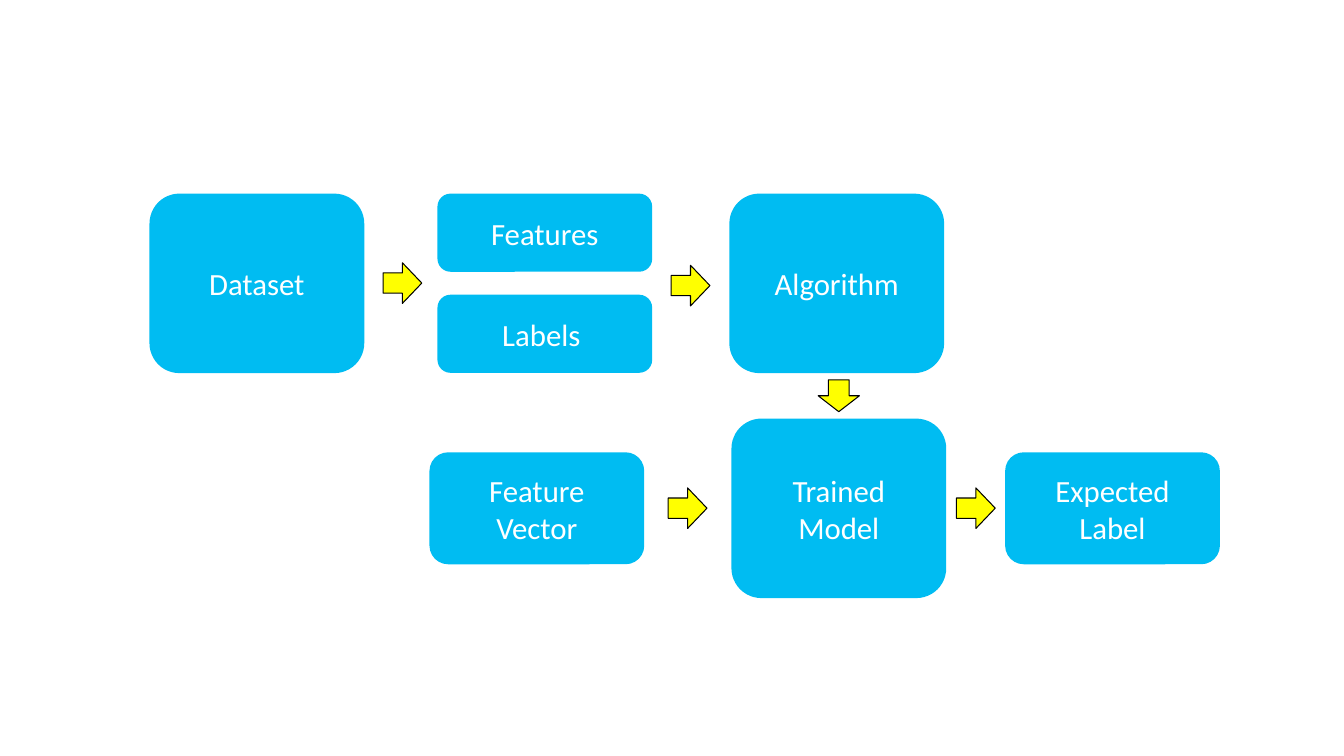
from pptx import Presentation
from pptx.dml.color import RGBColor
from pptx.enum.shapes import MSO_SHAPE
from pptx.enum.text import MSO_ANCHOR, PP_ALIGN
from pptx.util import Pt

COLORS = {"box": "00BCF2", "arrow": "FFFF00", "edge": "000000", "text": "FFFFFF"}
WIDTH = 153.4
TALL, MID, LOW = 128.2, 80, 55.8
RIGHT, DOWN = MSO_SHAPE.RIGHT_ARROW, MSO_SHAPE.DOWN_ARROW

# Left, top, height, one entry per paragraph
boxes = [
    (106.8, 138.3, TALL, ["Dataset"]),
    (312.5, 138.3, LOW, ["Features"]),
    (312.5, 210.5, LOW, ["Labels "]),
    (521, 138.3, TALL, ["Algorithm"]),
    (522.5, 299, TALL, ["Trained Model"]),
    (306.8, 323.1, MID, ["Feature", "Vector"]),
    (718, 323.1, MID, ["Expected Label"]),
]

# Kind, left, top, width, height
arrows = [
    (RIGHT, 273.6, 187.7, 27.7, 29),
    (RIGHT, 479.4, 189.5, 27.7, 29),
    (DOWN, 584.4, 271.3, 29.5, 22.8),
    (RIGHT, 477.3, 348.5, 27.7, 29),
    (RIGHT, 683.2, 348.5, 27.7, 29),
]

deck = Presentation()
deck.slide_width, deck.slide_height = Pt(960), Pt(540)
slide = deck.slides.add_slide(deck.slide_layouts[6])


def add_shape(kind, left, top, width, height, fill):
    shape = slide.shapes.add_shape(kind, Pt(left), Pt(top), Pt(width), Pt(height))
    shape.shadow.inherit = False
    shape.fill.solid()
    shape.fill.fore_color.rgb = RGBColor.from_string(COLORS[fill])
    return shape


for left, top, height, lines in boxes:
    box = add_shape(MSO_SHAPE.ROUNDED_RECTANGLE, left, top, WIDTH, height, "box")
    box.line.fill.background()
    frame = box.text_frame
    frame.word_wrap = True
    frame.vertical_anchor = MSO_ANCHOR.MIDDLE
    for i, line in enumerate(lines):
        para = frame.add_paragraph() if i else frame.paragraphs[0]
        para.alignment = PP_ALIGN.CENTER
        run = para.add_run()
        run.text = line
        run.font.name = "Calibri"
        run.font.size = Pt(22)
        run.font.color.rgb = RGBColor.from_string(COLORS["text"])

for kind, left, top, width, height in arrows:
    arrow = add_shape(kind, left, top, width, height, "arrow")
    arrow.line.color.rgb = RGBColor.from_string(COLORS["edge"])
    arrow.line.width = Pt(0.75)

deck.save("out.pptx")
